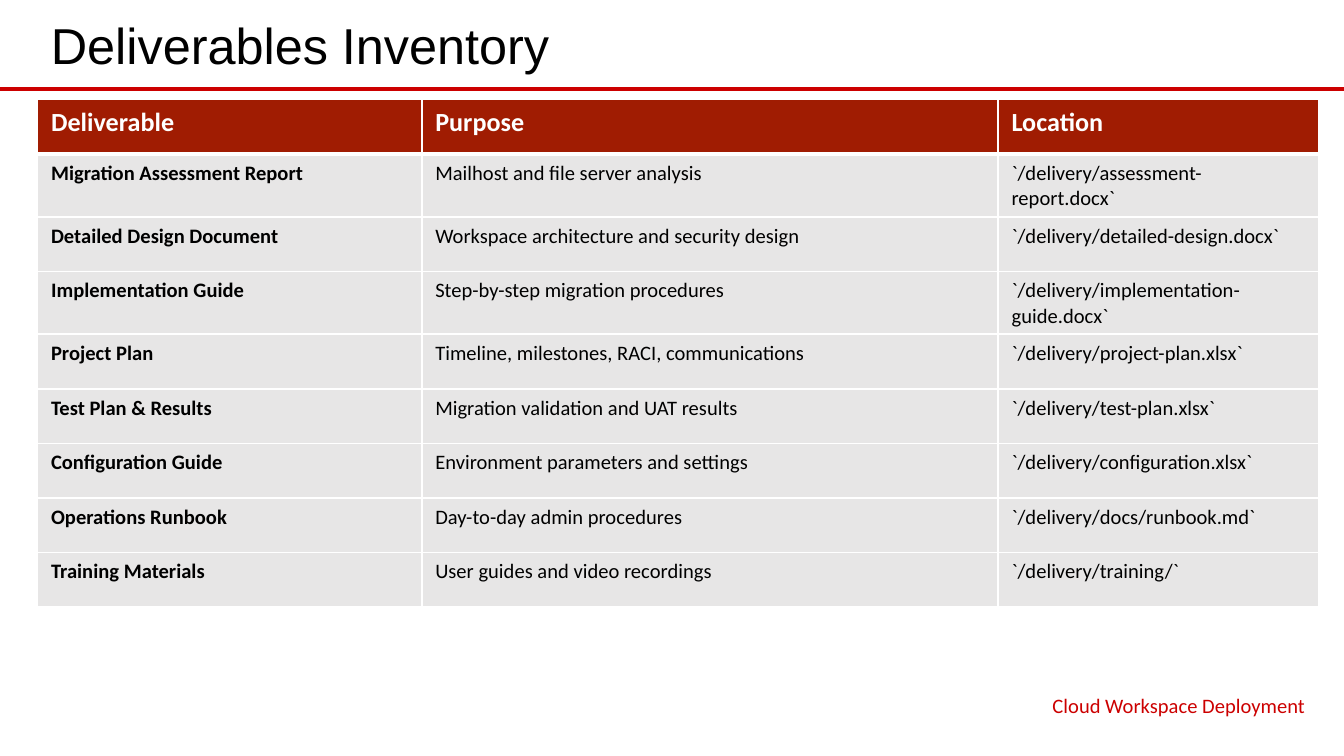
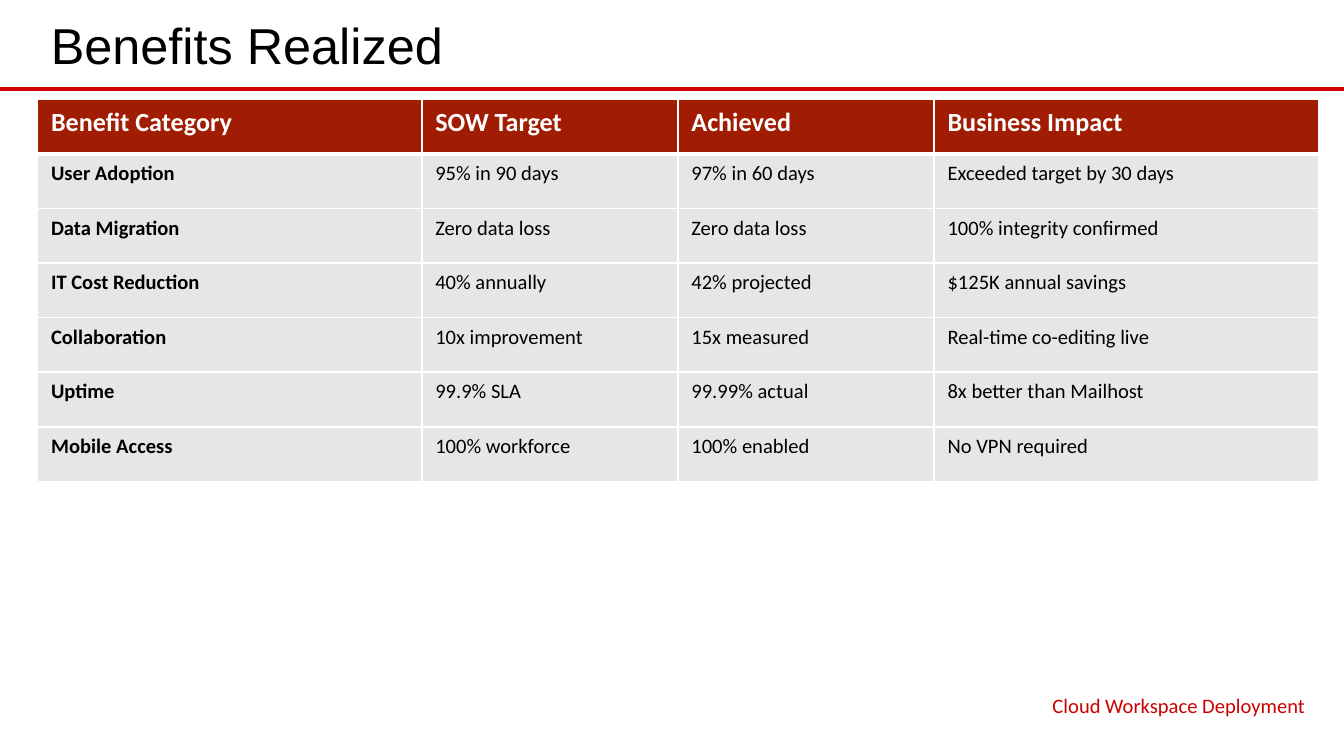
from dataclasses import dataclass

from lxml.etree import SubElement
from pptx import Presentation
from pptx.dml.color import RGBColor as RGB
from pptx.enum.shapes import MSO_CONNECTOR as Connector
from pptx.enum.text import MSO_ANCHOR as Anchor, PP_ALIGN as Align
from pptx.oxml import parse_xml
from pptx.oxml.ns import nsdecls, qn
from pptx.util import Inches, Pt


@dataclass(frozen=True)
class Theme:
    rule: RGB = RGB(0xCC, 0x00, 0x00)
    header: RGB = RGB(0xA0, 0x1C, 0x02)
    body: RGB = RGB(0xE7, 0xE6, 0xE6)
    ink: RGB = RGB(0x00, 0x00, 0x00)
    white: RGB = RGB(0xFF, 0xFF, 0xFF)
    title_font: str = "Arial"
    text_font: str = "Calibri"
    title_size: int = 27
    header_size: int = 14
    text_size: int = 11
    rule_width: float = 2.25
    border: int = 1
    header_border: int = 3


theme = Theme()
FOOTER = "Cloud Workspace Deployment"

# Each slide: title, column shares of the table width, rows (header first)
SLIDES = [
    ("Deliverables Inventory", (0.30, 0.45, 0.25), [
        ("Deliverable", "Purpose", "Location"),
        ("Migration Assessment Report", "Mailhost and file server analysis",
         "`/delivery/assessment-report.docx`"),
        ("Detailed Design Document", "Workspace architecture and security design",
         "`/delivery/detailed-design.docx`"),
        ("Implementation Guide", "Step-by-step migration procedures",
         "`/delivery/implementation-guide.docx`"),
        ("Project Plan", "Timeline, milestones, RACI, communications",
         "`/delivery/project-plan.xlsx`"),
        ("Test Plan & Results", "Migration validation and UAT results",
         "`/delivery/test-plan.xlsx`"),
        ("Configuration Guide", "Environment parameters and settings",
         "`/delivery/configuration.xlsx`"),
        ("Operations Runbook", "Day-to-day admin procedures",
         "`/delivery/docs/runbook.md`"),
        ("Training Materials", "User guides and video recordings",
         "`/delivery/training/`"),
    ]),
    ("Benefits Realized", (0.30, 0.20, 0.20, 0.30), [
        ("Benefit Category", "SOW Target", "Achieved", "Business Impact"),
        ("User Adoption", "95% in 90 days", "97% in 60 days", "Exceeded target by 30 days"),
        ("Data Migration", "Zero data loss", "Zero data loss", "100% integrity confirmed"),
        ("IT Cost Reduction", "40% annually", "42% projected", "$125K annual savings"),
        ("Collaboration", "10x improvement", "15x measured", "Real-time co-editing live"),
        ("Uptime", "99.9% SLA", "99.99% actual", "8x better than Mailhost"),
        ("Mobile Access", "100% workforce", "100% enabled", "No VPN required"),
    ]),
]


def write(frame, text, font, size, color, bold=False, align=Align.LEFT):
    paragraph = frame.paragraphs[0]
    paragraph.alignment = align
    run = paragraph.add_run()
    run.text = text
    run.font.name = font
    run.font.size = Pt(size)
    run.font.color.rgb = color
    run.font.bold = bold


def set_borders(cell, top, bottom):
    """Draw white cell edges; top and bottom are widths in points."""
    edges = {"L": theme.border, "R": theme.border, "T": top, "B": bottom}
    properties = cell._tc.get_or_add_tcPr()
    for position, (side, width) in enumerate(edges.items()):
        properties.insert(position, parse_xml(
            f'<a:ln{side} {nsdecls("a")} w="{Pt(width)}"><a:solidFill>'
            f'<a:srgbClr val="{theme.white}"/></a:solidFill></a:ln{side}>'))


deck = Presentation()
deck.slide_width = Inches(10)
deck.slide_height = deck.slide_width * 9 // 16
blank = deck.slide_layouts[6]

left = Inches(0.28)
content_width = Inches(9.53)
rule_y = Inches(0.66)
table_top = Inches(0.74)
row_height = int(deck.slide_height * 0.65 / 9)
footer_width = Inches(3.52)

for title, shares, rows in SLIDES:
    slide = deck.slides.add_slide(blank)

    rule = slide.shapes.add_connector(
        Connector.STRAIGHT, 0, rule_y, deck.slide_width, rule_y)
    rule.line.color.rgb = theme.rule
    rule.line.width = Pt(theme.rule_width)
    SubElement(rule._element.spPr, qn("a:effectLst"))

    heading = slide.shapes.add_textbox(
        left, Inches(0.04), content_width, Inches(0.58)).text_frame
    heading.word_wrap = True
    heading.vertical_anchor = Anchor.MIDDLE
    write(heading, title, theme.title_font, theme.title_size, theme.ink)

    table = slide.shapes.add_table(
        len(rows), len(shares), left, table_top,
        content_width, row_height * len(rows)).table
    table.horz_banding = False
    for column, share in zip(table.columns, shares):
        column.width = int(content_width * share)
    for r, values in enumerate(rows):
        table.rows[r].height = row_height
        is_header = r == 0
        for c, value in enumerate(values):
            cell = table.cell(r, c)
            cell.fill.solid()
            cell.fill.fore_color.rgb = theme.header if is_header else theme.body
            set_borders(cell,
                        top=theme.header_border if r == 1 else theme.border,
                        bottom=theme.header_border if is_header else theme.border)
            write(cell.text_frame, value, theme.text_font,
                  theme.header_size if is_header else theme.text_size,
                  theme.white if is_header else theme.ink,
                  bold=is_header or c == 0)

    footer = slide.shapes.add_textbox(
        left + content_width - footer_width, Inches(5.12),
        footer_width, Inches(0.26)).text_frame
    footer.word_wrap = True
    footer.vertical_anchor = Anchor.MIDDLE
    write(footer, FOOTER, theme.text_font, theme.text_size, theme.rule,
          align=Align.RIGHT)

deck.save("out.pptx")
